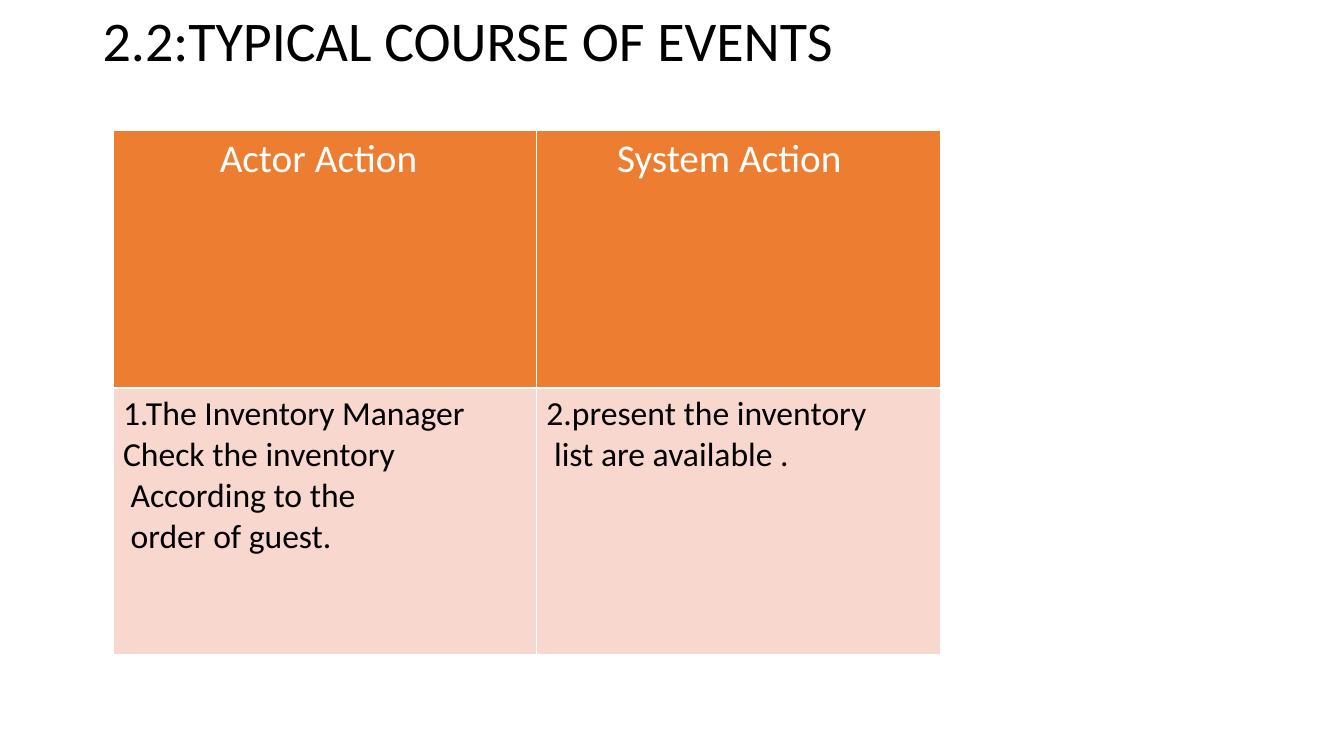
import pptx
import pptx.util
import pptx.dml.color
import pptx.enum.text
import pptx.oxml

PX = 9144  # 100 px to the inch
THEME = {
    "font": "Calibri",
    "black": "000000",
    "white": "FFFFFF",
    "header_fill": "ED7D31",
    "body_fill": "F8D7CE",
    "title_size": 40,
    "header_size": 28,
    "body_size": 24,
}


def px(length):
    return pptx.util.Emu(length * PX)


def write_lines(text_frame, lines, size, color):
    for index, line in enumerate(lines):
        paragraph = text_frame.paragraphs[0] if index == 0 else text_frame.add_paragraph()
        run = paragraph.add_run()
        run.text = line
        font_format = {"name": THEME["font"], "size": pptx.util.Pt(size), "bold": False}
        for attribute, value in font_format.items():
            setattr(run.font, attribute, value)
        run.font.color.rgb = pptx.dml.color.RGBColor.from_string(color)


# Slide
presentation = pptx.Presentation()
presentation.slide_width, presentation.slide_height = px(1333), px(750)
slide = presentation.slides.add_slide(presentation.slide_layouts[6])

# Title
title = slide.shapes.add_textbox(px(92), px(1), px(1150), px(85))
title_format = {"word_wrap": True, "vertical_anchor": pptx.enum.text.MSO_ANCHOR.MIDDLE}
for attribute, value in title_format.items():
    setattr(title.text_frame, attribute, value)
write_lines(title.text_frame, ["2.2:TYPICAL COURSE OF EVENTS"], THEME["title_size"], THEME["black"])
title.text_frame.paragraphs[0].line_spacing = 0.9

# Table grid
column_widths = [420, 401]
row_heights = [256, 264]
table = slide.shapes.add_table(
    2, 2, px(112), px(129), px(sum(column_widths)), px(sum(row_heights))
).table
for column, width in zip(table.columns, column_widths):
    column.width = px(width)
for row, height in zip(table.rows, row_heights):
    row.height = px(height)

# Table rows: each cell has its lines and left margin
event_rows = [
    {
        "cells": [(["Actor Action"], 106), (["System Action"], 80)],
        "size": THEME["header_size"],
        "color": THEME["white"],
        "fill": THEME["header_fill"],
    },
    {
        "cells": [
            (["1.The Inventory Manager Check the inventory", " According to the", " order of guest."], 10),
            (["2.present the inventory", " list are available ."], 10),
        ],
        "size": THEME["body_size"],
        "color": THEME["black"],
        "fill": THEME["body_fill"],
    },
]
for row_index, event_row in enumerate(event_rows):
    for column_index, (lines, margin) in enumerate(event_row["cells"]):
        cell = table.cell(row_index, column_index)
        cell.margin_left = px(margin)
        write_lines(cell.text_frame, lines, event_row["size"], event_row["color"])
        # White cell borders, placed before the fill
        properties = cell._tc.get_or_add_tcPr()
        for side in ("lnL", "lnR", "lnT", "lnB"):
            properties.append(pptx.oxml.parse_xml(
                f'<a:{side} xmlns:a="http://schemas.openxmlformats.org/drawingml/2006/main" w="12700">'
                f'<a:solidFill><a:srgbClr val="{THEME["white"]}"/></a:solidFill></a:{side}>'
            ))
        cell.fill.solid()
        cell.fill.fore_color.rgb = pptx.dml.color.RGBColor.from_string(event_row["fill"])

presentation.save("out.pptx")
